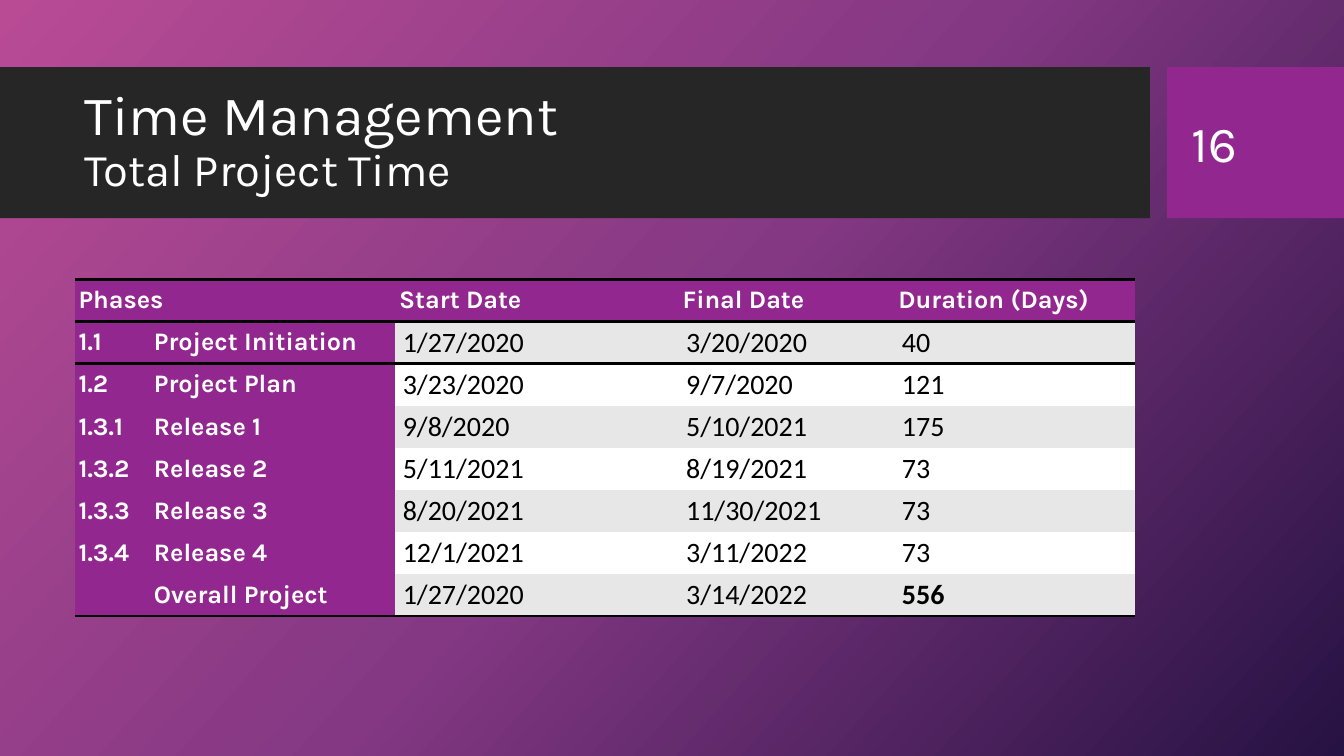
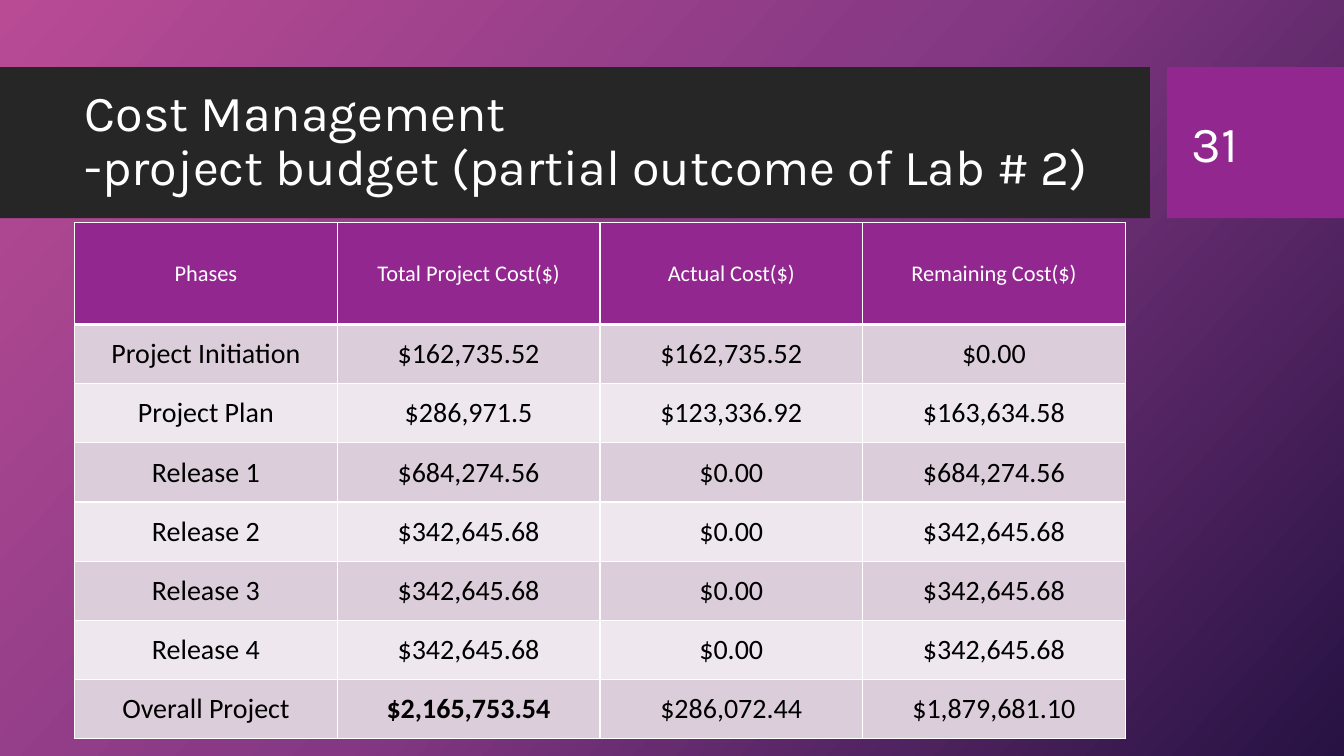
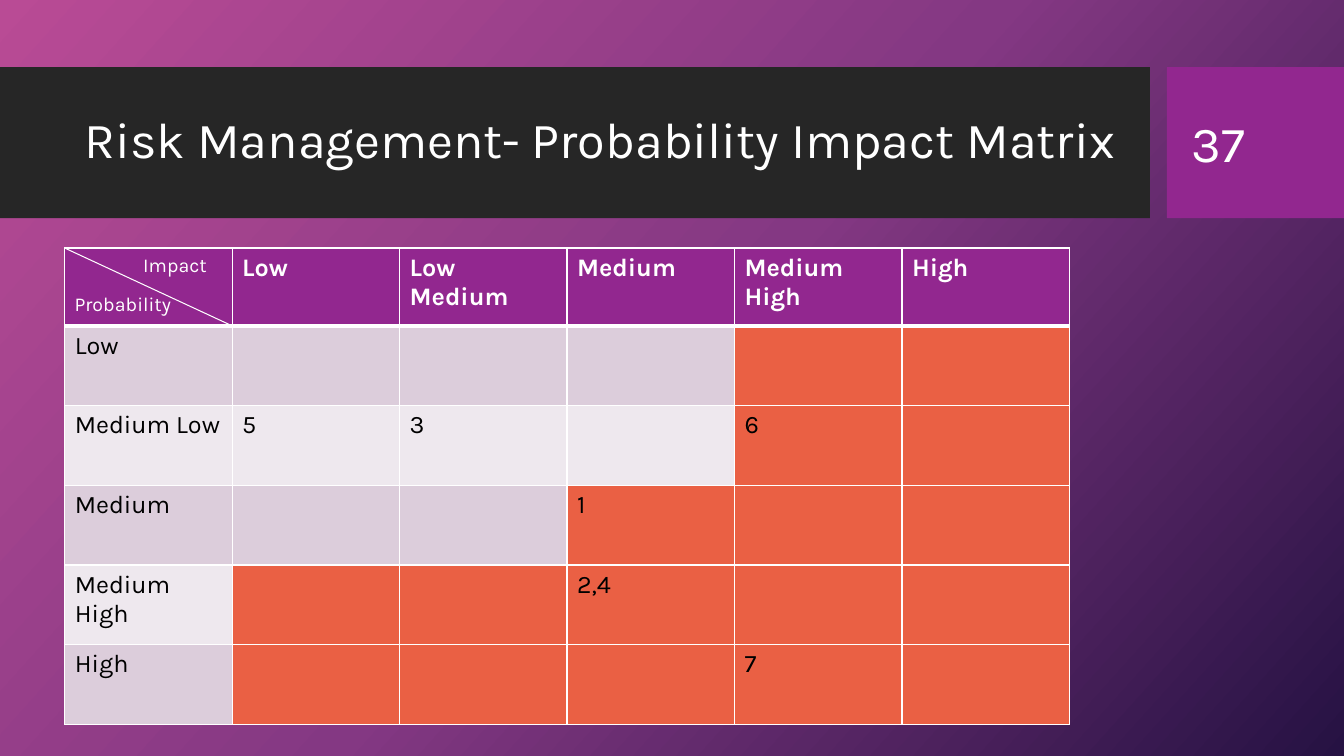
from copy import deepcopy
from dataclasses import dataclass

from lxml.etree import SubElement
from pptx import Presentation
from pptx.dml.color import RGBColor
from pptx.enum.shapes import MSO_CONNECTOR, MSO_SHAPE
from pptx.enum.text import MSO_ANCHOR, MSO_AUTO_SIZE, PP_ALIGN
from pptx.oxml.ns import qn
from pptx.util import Cm, Pt


@dataclass(frozen=True)
class Theme:
    heading_font: str = "Karla"
    figure_font: str = "Calibri"
    white: str = "FFFFFF"
    black: str = "000000"
    band: str = "262626"
    accent: str = "92278F"
    hot: str = "EA6044"
    grays: tuple = ("E7E7E7", "FFFFFF")
    tints: tuple = ("DCCDDB", "EEE8EE")
    gradient: tuple = (("B94B95", 0), ("843883", 0.5), ("261243", 1))
    gradient_angle: int = 318
    title: float = 36
    schedule_title: tuple = (39.6, 32.4)
    figure: float = 20
    label: float = 18
    budget_header: float = 16
    corner: float = 14


THEME = Theme()
NO_TABLE_STYLE = "{2D5ABB26-0587-4C30-8999-92F81FD0307C}"
BAND_TOP, BAND_HEIGHT = 1.69, 3.81
TITLE_TOP, TITLE_HEIGHT = 2.08, 3

SCHEDULE = [
    ("Phases", "Start Date", "Final Date", "Duration (Days)"),
    ("1.1\tProject Initiation", "1/27/2020", "3/20/2020", "40"),
    ("1.2\tProject Plan", "3/23/2020", "9/7/2020", "121"),
    ("1.3.1\tRelease 1", "9/8/2020", "5/10/2021", "175"),
    ("1.3.2\tRelease 2", "5/11/2021", "8/19/2021", "73"),
    ("1.3.3\tRelease 3", "8/20/2021", "11/30/2021", "73"),
    ("1.3.4\tRelease 4", "12/1/2021", "3/11/2022", "73"),
    ("\tOverall Project", "1/27/2020", "3/14/2022", "556"),
]
BUDGET = [
    ("Phases", "Total Project Cost($)", "Actual Cost($)", "Remaining Cost($)"),
    ("Project Initiation", "$162,735.52", "$162,735.52", "$0.00"),
    ("Project Plan", "$286,971.5", "$123,336.92", "$163,634.58"),
    ("Release 1", "$684,274.56", "$0.00", "$684,274.56"),
    ("Release 2", "$342,645.68", "$0.00", "$342,645.68"),
    ("Release 3", "$342,645.68", "$0.00", "$342,645.68"),
    ("Release 4", "$342,645.68", "$0.00", "$342,645.68"),
    ("Overall Project", "$2,165,753.54", "$286,072.44", "$1,879,681.10"),
]
RISKS = [
    ("", "Low", "Low Medium", "Medium", "Medium High", "High"),
    ("Low", "", "", "", "", ""),
    ("Medium Low", "5", "3", "", "6", ""),
    ("Medium", "", "", "1", "", ""),
    ("Medium High", "", "", "2,4", "", ""),
    ("High", "", "", "", "7", ""),
]
FIRST_HOT_COLUMN = (None, 4, 4, 3, 1, 1)


def rgb(value):
    return RGBColor.from_string(value)


def write(frame, text, size=THEME.label, color=THEME.white, font=THEME.heading_font,
          bold=False, align=PP_ALIGN.LEFT, spacing=None, tab=None):
    """Write one paragraph; newlines become line breaks, size may hold one value per line."""
    paragraph = frame.paragraphs[0]
    paragraph.alignment = align
    if spacing:
        paragraph.line_spacing = spacing
    if tab:
        stops = SubElement(paragraph._p.get_or_add_pPr(), qn("a:tabLst"))
        SubElement(stops, qn("a:tab"), pos=str(Cm(tab)), algn="l")
    lines = text.split("\n")
    sizes = size if isinstance(size, tuple) else (size,) * len(lines)
    for number, (line, points) in enumerate(zip(lines, sizes)):
        if number:
            paragraph.add_line_break()
        run = paragraph.add_run()
        run.text = line
        run.font.size, run.font.name, run.font.bold = Pt(points), font, bold
        run.font.color.rgb = rgb(color)


def add_text(slide, left, top, width, height, text, anchor=MSO_ANCHOR.TOP, **style):
    frame = slide.shapes.add_textbox(Cm(left), Cm(top), Cm(width), Cm(height)).text_frame
    frame.word_wrap = True
    frame.vertical_anchor = anchor
    write(frame, text, **style)


def set_borders(cell, color, widths):
    """Draw the sides keyed L, R, T, B at the given point widths."""
    properties = cell._tc.get_or_add_tcPr()
    for side in "LRTB":
        if side in widths:
            line = SubElement(properties, qn(f"a:ln{side}"), w=str(Pt(widths[side])))
            SubElement(SubElement(line, qn("a:solidFill")), qn("a:srgbClr"), val=color)


def add_table(slide, rows, left, top, widths, heights, style):
    """style(row, column) gives fill, borders, anchor, margin and text format of a cell."""
    table = slide.shapes.add_table(len(rows), len(widths), Cm(left), Cm(top),
                                   Cm(sum(widths)), Cm(sum(heights))).table
    table._tbl.tblPr.find(qn("a:tableStyleId")).text = NO_TABLE_STYLE
    table.first_row = table.horz_banding = False
    for column, width in zip(table.columns, widths):
        column.width = Cm(width)
    for r, (values, height) in enumerate(zip(rows, heights)):
        table.rows[r].height = Cm(height)
        for c, value in enumerate(values):
            cell, look = table.cell(r, c), style(r, c)
            set_borders(cell, *look["borders"])
            cell.fill.solid()
            cell.fill.fore_color.rgb = rgb(look["fill"])
            cell.vertical_anchor = look.get("anchor", MSO_ANCHOR.TOP)
            if "margin" in look:
                cell.margin_left = cell.margin_right = Cm(look["margin"])
                cell.margin_top = cell.margin_bottom = 0
            if value:
                write(cell.text_frame, value, **look["text"])


def white_grid(row):
    """Thin white lines, with a thick one under the header row."""
    widths = dict.fromkeys("LRTB", 1)
    if row < 2:
        widths["B" if row == 0 else "T"] = 3
    return THEME.white, widths


def schedule_style(row, column):
    last = len(SCHEDULE) - 1
    sides = {0: "TB", 1: "T", last: "B"}.get(row, "")
    look = dict(borders=(THEME.black, dict.fromkeys(sides, 2)), anchor=MSO_ANCHOR.MIDDLE)
    if row == 0 or column == 0:
        tab = 1.9 if row else None
        return look | dict(fill=THEME.accent, margin=0.1, text=dict(bold=True, tab=tab))
    return look | dict(fill=THEME.grays[(row - 1) % 2], margin=0.19, text=dict(
        size=THEME.figure, color=THEME.black, font=THEME.figure_font,
        bold=(row, column) == (last, 3)))


def budget_style(row, column):
    header = row == 0
    return dict(
        borders=white_grid(row), anchor=MSO_ANCHOR.MIDDLE,
        fill=THEME.accent if header else THEME.tints[(row - 1) % 2],
        text=dict(size=THEME.budget_header if header else THEME.figure,
                  color=THEME.white if header else THEME.black,
                  font=THEME.figure_font, align=PP_ALIGN.CENTER,
                  bold=(row, column) == (len(BUDGET) - 1, 1)))


def risk_style(row, column):
    if row == 0:
        fill = THEME.accent
    elif column >= FIRST_HOT_COLUMN[row]:
        fill = THEME.hot
    else:
        fill = THEME.tints[(row - 1) % 2]
    return dict(borders=white_grid(row), fill=fill,
                text=dict(color=THEME.black if row else THEME.white, bold=row == 0))


def prepare_layout(prs):
    """Give the title-only layout its gradient, bands and title place."""
    layout = prs.slide_layouts[5]
    fill = layout.background.fill
    fill.gradient()
    fill.gradient_angle = THEME.gradient_angle
    stops = layout.element.find(".//" + qn("a:gsLst"))
    stops.append(deepcopy(stops[-1]))
    for stop, (color, position) in zip(fill.gradient_stops, THEME.gradient):
        stop.color.rgb = rgb(color)
        stop.position = position

    title = layout.placeholders[0]
    title.left, title.top = Cm(1.88), Cm(TITLE_TOP)
    title.width, title.height = Cm(26.7), Cm(TITLE_HEIGHT)
    return layout


def add_bands(slide, layout):
    """Draw both bands and hand them to the layout, behind its placeholders."""
    for left, width, color in ((0, 28.98, THEME.band), (29.41, 4.46, THEME.accent)):
        band = slide.shapes.add_shape(MSO_SHAPE.RECTANGLE, Cm(left), Cm(BAND_TOP),
                                      Cm(width), Cm(BAND_HEIGHT))
        band.shadow.inherit = False
        band.fill.solid()
        band.fill.fore_color.rgb = rgb(color)
        band.line.fill.background()
        layout.shapes._spTree.insert(2, band._element)


def add_slide(prs, layout, title, page, size=THEME.title):
    slide = prs.slides.add_slide(layout)
    frame = slide.shapes.title.text_frame
    frame.auto_size = MSO_AUTO_SIZE.NONE
    frame.vertical_anchor = MSO_ANCHOR.MIDDLE
    write(frame, title, size=size, spacing=0.9)
    add_text(slide, 29.79, TITLE_TOP, 3.2, TITLE_HEIGHT, page,
             anchor=MSO_ANCHOR.MIDDLE, size=THEME.title)
    return slide


def add_split_corner(slide, left, top, width, height):
    """Split the header corner between the two axis names."""
    diagonal = slide.shapes.add_connector(MSO_CONNECTOR.STRAIGHT, Cm(left), Cm(top),
                                          Cm(left + width), Cm(top + height))
    diagonal.line.color.rgb = rgb(THEME.white)
    diagonal.line.width = Pt(0.75)
    SubElement(diagonal._element.spPr, qn("a:effectLst"))
    add_text(slide, left, top + height / 2, 4, 0.86, "Probability", size=THEME.corner)
    add_text(slide, left + 1.73, top, 2.5, 0.86, "Impact", size=THEME.corner)


def main():
    prs = Presentation()
    prs.slide_width, prs.slide_height = Cm(33.87), Cm(19.05)
    layout = prepare_layout(prs)

    schedule = add_slide(prs, layout, "Time Management\nTotal Project Time", "16",
                         size=THEME.schedule_title)
    add_bands(schedule, layout)
    add_table(schedule, SCHEDULE, 1.88, 7.04, (8.08, 7.14, 5.44, 6.07),
              [1.06] * len(SCHEDULE), schedule_style)

    budget = add_slide(prs, layout,
                       "Cost Management\n-project budget (partial outcome of Lab # 2)", "31")
    add_table(budget, BUDGET, 1.88, 5.61, [6.62] * 4,
              [2.57] + [1.49] * (len(BUDGET) - 1), budget_style)

    risks = add_slide(prs, layout, "Risk Management- Probability Impact Matrix", "37")
    left, top, column, header = 1.63, 6.25, 4.22, 1.96
    add_table(risks, RISKS, left, top, [column] * 6,
              [header] + [2.01] * (len(RISKS) - 1), risk_style)
    add_split_corner(risks, left, top, column, header)

    prs.save("out.pptx")


if __name__ == "__main__":
    main()
